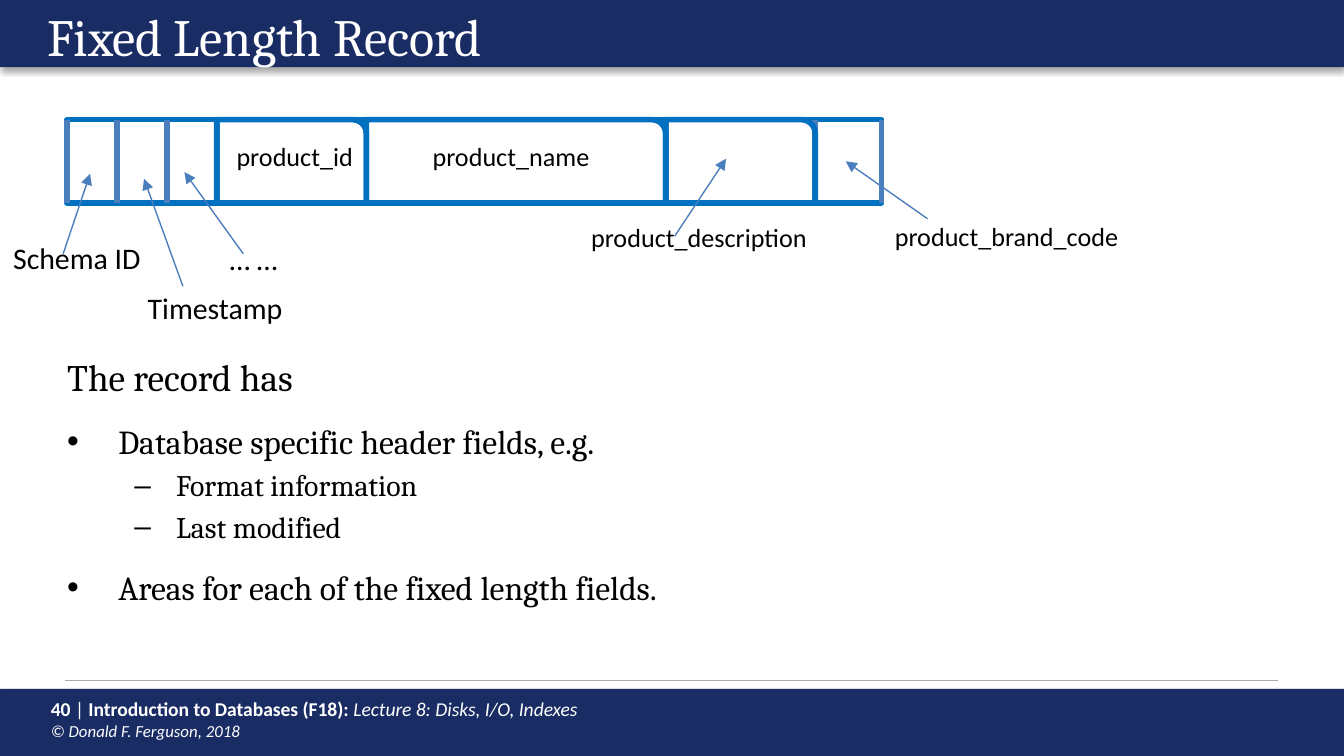
import pptx
import pptx.util
import pptx.dml.color
import pptx.enum.shapes
import pptx.enum.text
import pptx.oxml
import pptx.oxml.ns
import lxml.etree

Inches, Pt = pptx.util.Inches, pptx.util.Pt
RGBColor = pptx.dml.color.RGBColor
MSO_SHAPE = pptx.enum.shapes.MSO_SHAPE
NO_AUTOFIT = pptx.enum.text.MSO_AUTO_SIZE.NONE
qn = pptx.oxml.ns.qn

NAVY = RGBColor(0x1A, 0x2C, 0x64)
WHITE = RGBColor(0xFF, 0xFF, 0xFF)
BLACK = RGBColor(0, 0, 0)
GRAY = RGBColor(0xAA, 0xAA, 0xAA)
FIELD_BLUE = RGBColor(0x00, 0x70, 0xC0)
LINE_BLUE = RGBColor(0x4B, 0x7E, 0xBC)

SLIDE_W = 10
SLIDE_H = SLIDE_W * 9 / 16
BAR_H = 0.5
RECORD_X, RECORD_Y, RECORD_W, RECORD_H = 0.5, 0.89, 6.06, 0.62

SHADOW = (
    '<a:effectLst xmlns:a="http://schemas.openxmlformats.org/drawingml/2006/main">'
    '<a:outerShdw blurRad="39370" dist="22860" dir="5400000" rotWithShape="0">'
    '<a:srgbClr val="000000"><a:alpha val="35000"/></a:srgbClr>'
    '</a:outerShdw></a:effectLst>'
)

# Fields of the record: width in columns, whether it is a data field
FIELDS = [(1, False), (1, False), (1, False), (3, True), (6, True), (3, True), (1.33, False)]

# Labels: text, size, label position, box size, arrow start and end (columns, rows)
LABELS = [
    ("Schema ID", 16, (-1.35, 1.41), (2.7, 1.61), ((-0.08, 1.61), (0.46, 0.65))),
    ("Timestamp", 16, (1.35, 2.01), (2.7, 1.61), ((2.32, 2), (1.54, 0.71))),
    ("… …", 16, (2.99, 1.42), (2.7, 1.61), ((3.53, 1.61), (2.35, 0.63))),
    ("product_id", 14, (3.13, 0.21), (2.7, 0.4), None),
    ("product_name", 14, (7.06, 0.21), (2.7, 0.4), None),
    ("product_description", 14, (10.24, 1.19), (6.09, 1.61), ((12.18, 1.4), (13.21, 0.47))),
    ("product_brand_code", 14, (16.33, 1.17), (6.09, 1.61), ((17.25, 1.19), (15.61, 0.5))),
]

# Body list: text, level, size, space before
BODY = [
    ("The record has", None, 20, 0),
    ("Database specific header fields, e.g.", 0, 18, 12),
    ("Format information", 1, 16, 3),
    ("Last modified", 1, 16, 3),
    ("Areas for each of the fixed length fields.", 0, 18, 12),
]
# Bullet, left margin and hanging indent of each list level
BULLETS = {None: (None, 0, 0), 0: ("•", 0.38, -0.38), 1: ("–", 0.81, -0.31)}


def set_font(font, name, size, color):
    font.name, font.size = name, Pt(size)
    font.color.rgb = color


def add_line(shapes, start, end, color, width, arrow=False):
    line = shapes.add_connector(
        pptx.enum.shapes.MSO_CONNECTOR.STRAIGHT, *[Inches(v) for v in (*start, *end)])
    line.line.color.rgb = color
    line.line.width = Pt(width)
    sp_pr = line._element.spPr
    if arrow:
        lxml.etree.SubElement(sp_pr.find(qn("a:ln")), qn("a:tailEnd"), type="triangle")
    lxml.etree.SubElement(sp_pr, qn("a:effectLst"))


def add_outline(shapes, kind, x, y, w, h):
    sp = shapes.add_shape(kind, *[Inches(v) for v in (x, y, w, h)])
    sp.shadow.inherit = False
    sp.fill.background()
    sp.line.color.rgb = FIELD_BLUE
    sp.line.width = Pt(3)


def add_bar(s, x, y, w, h):
    sp = s.shapes.add_shape(MSO_SHAPE.RECTANGLE, *[Inches(v) for v in (x, y, w, h)])
    sp.fill.solid()
    sp.fill.fore_color.rgb = NAVY
    sp.line.fill.background()
    sp._element.spPr.append(pptx.oxml.parse_xml(SHADOW))


def place(sp, x, y, w, h):
    sp.left, sp.top, sp.width, sp.height = [Inches(v) for v in (x, y, w, h)]


def add_footer(s, x, y, w, h):
    add_bar(s, x, y, w, h)
    rule_y = y - 0.12 * h
    add_line(s.shapes, (x + 0.048 * w, rule_y), (x + 0.951 * w, rule_y), GRAY, 0.75)
    tb = s.shapes.add_textbox(
        *[Inches(v) for v in (x + 0.028 * w, y + 0.03 * h, 0.742 * w, 0.86 * h)])
    tf = tb.text_frame
    tf.word_wrap = True
    p = tf.paragraphs[0]
    for text, size, bold, italic in [
        ("40 ", 10.5, True, False),
        ("| ", 10.5, False, False),
        ("Introduction to Databases (F18): ", 10.5, True, False),
        ("Lecture 8: Disks, I/O, Indexes", 10.5, False, True),
        ("© Donald F. Ferguson, 2018", 9, False, True),
    ]:
        if size == 9:
            p.add_line_break()
        r = p.add_run()
        r.text = text
        set_font(r.font, "Calibri", size, WHITE)
        r.font.bold, r.font.italic = bold, italic


def add_title(s, x, y, w, h):
    add_bar(s, x, y, w, h)
    title = s.shapes.title
    # Keep the title in front of its bar
    s.shapes._spTree.append(title._element)
    place(title, x + 0.025 * w, y + 0.07 * h, 0.906 * w, 0.84 * h)
    tf = title.text_frame
    tf.text = "Fixed Length Record"
    tf.auto_size = NO_AUTOFIT
    tf.vertical_anchor = pptx.enum.text.MSO_ANCHOR.TOP
    p = tf.paragraphs[0]
    p.alignment = pptx.enum.text.PP_ALIGN.LEFT
    p.line_spacing = 0.9
    set_font(p.runs[0].font, "Cambria", 28, WHITE)


def add_body(s, x, y, w, h):
    body = s.placeholders[1]
    place(body, x, y, w, h)
    tf = body.text_frame
    tf.auto_size = NO_AUTOFIT
    tf.margin_left = tf.margin_right = tf.margin_top = tf.margin_bottom = 0
    tf.text = "\n".join(item[0] for item in BODY)
    for p, (_, level, size, before) in zip(tf.paragraphs, BODY):
        bullet, margin, indent = BULLETS[level]
        p.level = level or 0
        p.space_before = Pt(before)
        p_pr = p._p.get_or_add_pPr()
        p_pr.set("marL", str(Inches(margin)))
        p_pr.set("indent", str(Inches(indent)))
        if bullet:
            lxml.etree.SubElement(p_pr, qn("a:buFont"), typeface="Arial")
            lxml.etree.SubElement(p_pr, qn("a:buChar"), char=bullet)
        else:
            lxml.etree.SubElement(p_pr, qn("a:buNone"))
        set_font(p.runs[0].font, "Cambria", size, BLACK)


def add_record(s, x, y, w, h):
    # Record outline, fields and separators
    shapes = s.shapes.add_group_shape().shapes
    column = w / sum(columns for columns, _ in FIELDS)
    add_outline(shapes, MSO_SHAPE.RECTANGLE, x, y, w, h)
    edge = x
    add_line(shapes, (x, y), (x, y + h), LINE_BLUE, 3)
    for columns, is_data in FIELDS:
        width = columns * column
        add_line(shapes, (edge + width, y), (edge + width, y + h), LINE_BLUE, 3)
        if is_data:
            add_outline(shapes, MSO_SHAPE.ROUND_1_RECTANGLE, edge, y, width, h)
        edge += width

    # Labels and their arrows
    def at(point):
        return x + point[0] * column, y + point[1] * h

    for text, size, position, (columns, rows), arrow in LABELS:
        box = (*at(position), columns * column, rows * h)
        tf = s.shapes.add_textbox(*[Inches(v) for v in box]).text_frame
        tf.word_wrap = False
        tf.auto_size = NO_AUTOFIT
        tf.text = text
        p = tf.paragraphs[0]
        p.line_spacing = 0.9
        set_font(p.runs[0].font, "Calibri", size, BLACK)
        if arrow:
            add_line(s.shapes, at(arrow[0]), at(arrow[1]), LINE_BLUE, 0.75, arrow=True)


def main():
    prs = pptx.Presentation()
    prs.slide_width, prs.slide_height = Inches(SLIDE_W), Inches(SLIDE_H)
    s = prs.slides.add_slide(prs.slide_layouts[1])
    add_footer(s, 0, SLIDE_H - BAR_H, SLIDE_W, BAR_H)
    add_title(s, 0, 0, SLIDE_W, BAR_H)
    add_body(s, 0.05 * SLIDE_W, 0.468 * SLIDE_H, 0.904 * SLIDE_W, 0.41 * SLIDE_H)
    add_record(s, RECORD_X, RECORD_Y, RECORD_W, RECORD_H)
    prs.save("out.pptx")


if __name__ == "__main__":
    main()
